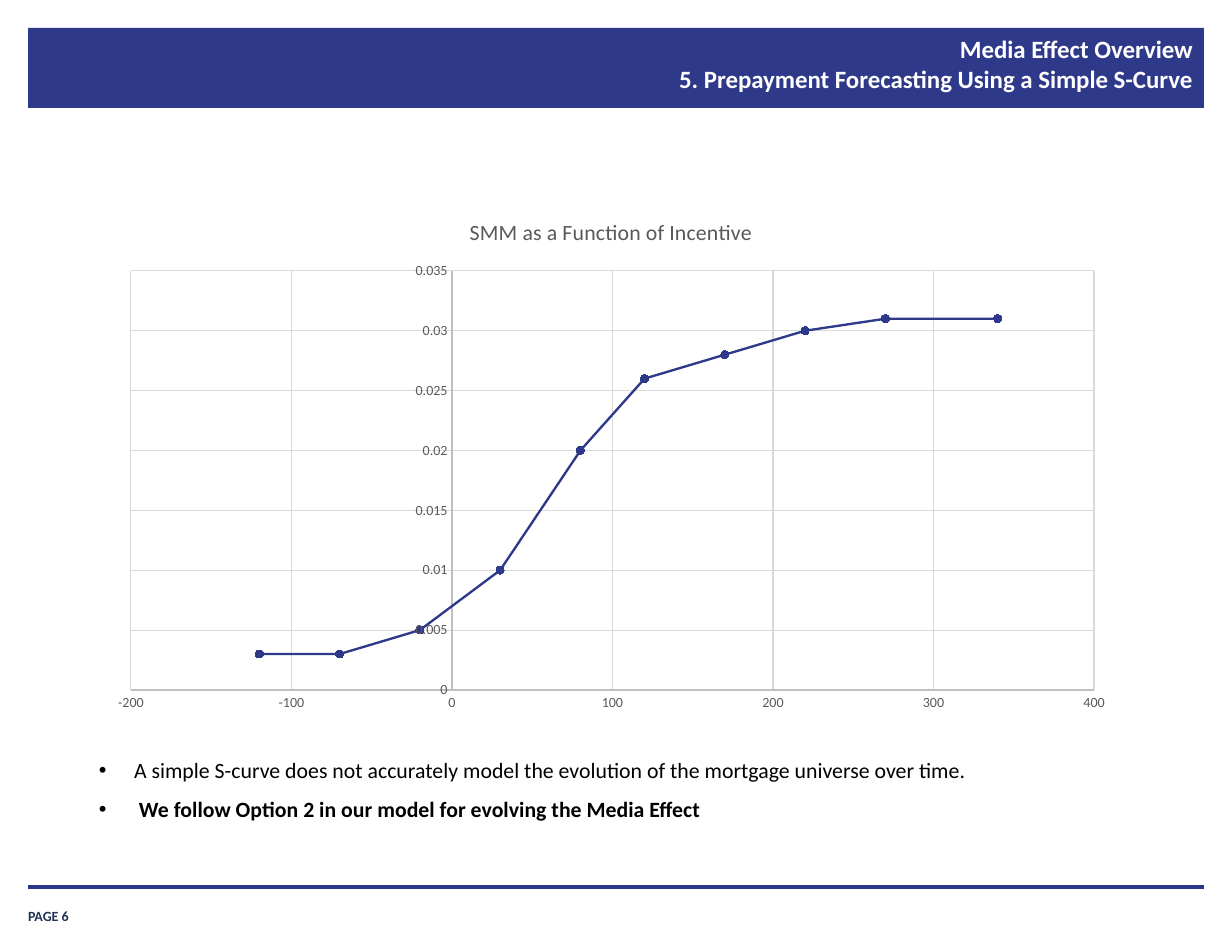
from lxml.etree import SubElement
from pptx import Presentation
from pptx.chart.data import XyChartData
from pptx.dml.color import RGBColor
from pptx.enum.chart import XL_CHART_TYPE, XL_MARKER_STYLE, XL_TICK_LABEL_POSITION, XL_TICK_MARK
from pptx.enum.shapes import MSO_CONNECTOR, MSO_SHAPE
from pptx.enum.text import MSO_ANCHOR, PP_ALIGN
from pptx.oxml import parse_xml
from pptx.oxml.ns import nsdecls, qn
from pptx.util import Pt

TITLE = "Media Effect Overview\v5. Prepayment Forecasting Using a Simple S-Curve"
PAGE = "PAGE 6"
CHART_TITLE = "SMM as a Function of Incentive"
SMM_BY_INCENTIVE = [
    (-120, 0.003), (-70, 0.003), (-20, 0.005), (30, 0.01), (80, 0.02),
    (120, 0.026), (170, 0.028), (220, 0.03), (270, 0.031), (340, 0.031),
]
BULLETS = [
    ("A simple S-curve does not accurately model the evolution of the mortgage universe over time.", False),
    (" We follow Option 2 in our model for evolving the Media Effect", True),
]
COLORS = {
    "navy": "2E398A", "rule": "2B3689", "page": "203353", "white": "FFFFFF",
    "black": "000000", "label": "595959", "axis": "BFBFBF", "grid": "D9D9D9",
}
FONT = "Calibri"
EMU_PER_PX = 914400 // 112
SLIDE_W, SLIDE_H = 1232, 952
MARGIN = 28
CONTENT_W = SLIDE_W - 2 * MARGIN
CHART_BOX = (97, 197, 1028, 524)
PLOT_BOX = (131, 271, 963, 419)
BULLET_INDENT = 35


def px(*lengths):
    return [length * EMU_PER_PX for length in lengths]


def color(name):
    return RGBColor.from_string(COLORS[name])


def set_font(font, size, name, bold=False):
    font.name, font.size, font.bold = FONT, Pt(size), bold
    font.color.rgb = color(name)


def set_line(line, name, width):
    line.color.rgb = color(name)
    line.width = Pt(width)


def set_margins(frame, across, down):
    frame.margin_left = frame.margin_right = across * EMU_PER_PX
    frame.margin_top = frame.margin_bottom = down * EMU_PER_PX


def add_frame(slide):
    banner = slide.shapes.add_shape(MSO_SHAPE.RECTANGLE, *px(MARGIN, 28, CONTENT_W, 80))
    banner.shadow.inherit = False
    banner.fill.solid()
    banner.fill.fore_color.rgb = color("navy")
    banner.line.fill.background()

    footer_rule = slide.shapes.add_connector(
        MSO_CONNECTOR.STRAIGHT, *px(MARGIN, 887, MARGIN + CONTENT_W, 887))
    set_line(footer_rule.line, "rule", 2)
    SubElement(footer_rule._element.spPr, qn("a:effectLst"))

    page = slide.shapes.add_textbox(*px(MARGIN, 898, 102, 26)).text_frame
    set_margins(page, 0, 0)
    page.word_wrap = True
    page.vertical_anchor = MSO_ANCHOR.BOTTOM
    page.text = PAGE
    set_font(page.paragraphs[0].runs[0].font, 9, "page", True)


def add_title(slide):
    title = slide.shapes.title
    title.left, title.top, title.width, title.height = px(372, 27, 833, 83)
    frame = title.text_frame
    set_margins(frame, 12, 7)
    frame.vertical_anchor = MSO_ANCHOR.TOP
    frame.text = TITLE
    heading = frame.paragraphs[0]
    heading.alignment = PP_ALIGN.RIGHT
    for run in heading.runs:
        set_font(run.font, 16, "white", True)
    # Bring the title in front of the banner
    slide.shapes._spTree.append(title._element)


def place_plot(chart):
    """Fix the inner plot area as fractions of the chart frame."""
    left, top, width, height = CHART_BOX
    plot_left, plot_top, plot_width, plot_height = PLOT_BOX
    fractions = {
        "x": (plot_left - left) / width, "y": (plot_top - top) / height,
        "w": plot_width / width, "h": plot_height / height,
    }
    layout = parse_xml(f"<c:layout {nsdecls('c')}/>")
    manual = SubElement(layout, qn("c:manualLayout"))
    SubElement(manual, qn("c:layoutTarget")).set("val", "inner")
    for side in "xy":
        SubElement(manual, qn(f"c:{side}Mode")).set("val", "edge")
    for side, fraction in fractions.items():
        SubElement(manual, qn(f"c:{side}")).set("val", f"{fraction:.3f}")
    plot_area = chart._chartSpace.chart.plotArea
    for old_layout in plot_area.findall(qn("c:layout")):
        plot_area.remove(old_layout)
    plot_area.insert(0, layout)


def format_axis(axis, low, high, step):
    axis.minimum_scale, axis.maximum_scale, axis.major_unit = low, high, step
    axis.major_tick_mark = axis.minor_tick_mark = XL_TICK_MARK.NONE
    axis.tick_label_position = XL_TICK_LABEL_POSITION.NEXT_TO_AXIS
    axis.tick_labels.number_format = "General"
    axis.tick_labels.number_format_is_linked = False
    set_font(axis.tick_labels.font, 9, "label")
    set_line(axis.format.line, "axis", 0.75)
    axis.has_major_gridlines = True
    set_line(axis.major_gridlines.format.line, "grid", 0.75)


def add_curve(slide):
    data = XyChartData()
    points = data.add_series("Series 1")
    for incentive, smm in SMM_BY_INCENTIVE:
        points.add_data_point(incentive, smm)
    chart = slide.shapes.add_chart(XL_CHART_TYPE.XY_SCATTER_LINES, *px(*CHART_BOX), data).chart
    set_font(chart.font, 10, "black")
    chart.has_legend = False
    chart.has_title = True
    chart.chart_title.text_frame.text = CHART_TITLE
    set_font(chart.chart_title.text_frame.paragraphs[0].runs[0].font, 14, "label")
    chart.chart_title.include_in_layout = False
    format_axis(chart.category_axis, -200, 400, 100)
    format_axis(chart.value_axis, 0, 0.035, 0.005)
    place_plot(chart)

    plot = chart.plots[0]
    plot.vary_by_categories = False
    curve = plot.series[0]
    curve.smooth = False
    set_line(curve.format.line, "navy", 1.5)
    curve.marker.style = XL_MARKER_STYLE.CIRCLE
    curve.marker.size = 5
    curve.marker.format.fill.solid()
    curve.marker.format.fill.fore_color.rgb = color("navy")
    set_line(curve.marker.format.line, "navy", 0.75)


def add_bullets(slide):
    frame = slide.shapes.add_textbox(*px(88, 738, 1047, 130)).text_frame
    frame.word_wrap = True
    for index, (text, bold) in enumerate(BULLETS):
        point = frame.add_paragraph() if index else frame.paragraphs[0]
        point.text = text
        point.line_spacing = 1.5
        properties = point._p.get_or_add_pPr()
        indent = BULLET_INDENT * EMU_PER_PX
        properties.set("marL", str(indent))
        properties.set("indent", str(-indent))
        SubElement(properties, qn("a:buFont")).set("typeface", "Arial")
        SubElement(properties, qn("a:buChar")).set("char", "•")
        set_font(point.runs[0].font, 14, "black", bold)


def main():
    deck = Presentation()
    deck.slide_width, deck.slide_height = px(SLIDE_W, SLIDE_H)
    slide = deck.slides.add_slide(deck.slide_layouts[5])
    add_frame(slide)
    add_title(slide)
    add_curve(slide)
    add_bullets(slide)
    deck.save("out.pptx")


if __name__ == "__main__":
    main()
